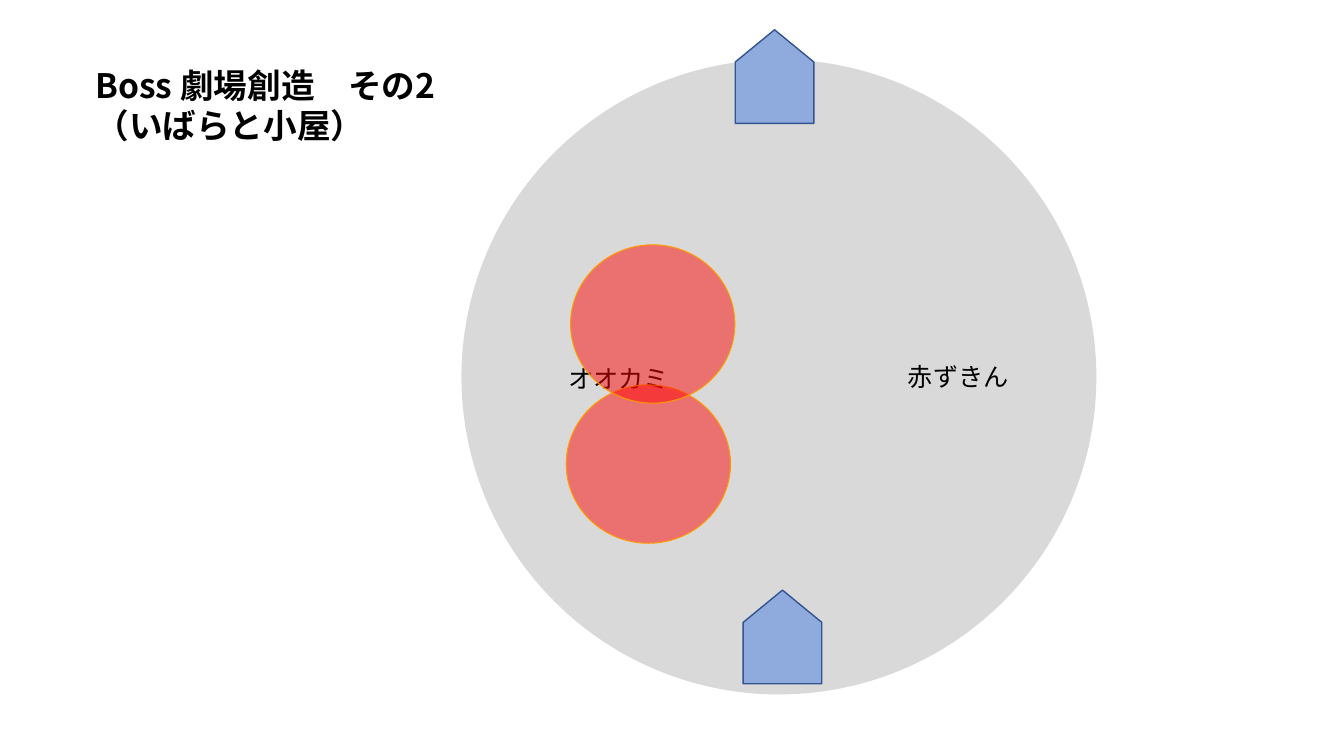
import lxml.etree
import pptx
import pptx.dml.color
import pptx.enum.shapes
import pptx.enum.text
import pptx.oxml.ns
import pptx.util

Cm = pptx.util.Cm
Pt = pptx.util.Pt
RGBColor = pptx.dml.color.RGBColor
SHAPE = pptx.enum.shapes.MSO_SHAPE
qn = pptx.oxml.ns.qn

FONT = "Noto Sans CJK SC"
BLACK = RGBColor(0x00, 0x00, 0x00)
GREY = RGBColor(0xD9, 0xD9, 0xD9)
RED = RGBColor(0xFF, 0x00, 0x00)
ORANGE = RGBColor(0xFF, 0x99, 0x00)
BLUE = RGBColor(0x8F, 0xAA, 0xDC)
NAVY = RGBColor(0x32, 0x54, 0x91)


def add_form(slide, kind, left, top, width, height, fill):
    """Add a filled preset shape without outline or shadow."""
    form = slide.shapes.add_shape(kind, Cm(left), Cm(top), Cm(width), Cm(height))
    form.shadow.inherit = False
    form.fill.solid()
    form.fill.fore_color.rgb = fill
    form.line.fill.background()
    return form


def set_line(form, color, width):
    """Give a shape a solid outline."""
    form.line.color.rgb = color
    form.line.width = Pt(width)


def add_thorn(slide, left, top):
    """Add a see-through red circle for a thorn area."""
    thorn = add_form(slide, SHAPE.OVAL, left, top, 4.14, 3.99, RED)
    set_line(thorn, ORANGE, 0.75)
    color = thorn.fill._xPr.find(qn("a:solidFill"))[0]
    lxml.etree.SubElement(color, qn("a:alpha"), val="48000")


def add_hut(slide, left, top):
    """Add a hut with its roof pointing up."""
    hut = add_form(slide, SHAPE.PENTAGON, left, top, 2.36, 1.98, BLUE)
    hut.adjustments[0] = 0.41
    hut.rotation = 270
    set_line(hut, NAVY, 1)


def add_text(slide, text, left, top, width, height, size, bold=False, wrap=False):
    """Add a black text box in the slide font."""
    box = slide.shapes.add_textbox(Cm(left), Cm(top), Cm(width), Cm(height))
    frame = box.text_frame
    frame.text = text
    frame.word_wrap = wrap
    frame.auto_size = pptx.enum.text.MSO_AUTO_SIZE.SHAPE_TO_FIT_TEXT
    font = frame.paragraphs[0].runs[0].font
    font.name = FONT
    font.size = Pt(size)
    font.bold = bold
    font.color.rgb = BLACK
    lxml.etree.SubElement(font._element, qn("a:ea"), typeface=FONT)


def main():
    """Build the arena slide and save it."""
    deck = pptx.Presentation()
    deck.slide_width = Cm(33.87)
    deck.slide_height = Cm(19.05)
    slide = deck.slides.add_slide(deck.slide_layouts[6])
    add_form(slide, SHAPE.OVAL, 11.63, 1.5, 16, 16, GREY)
    add_text(slide, "オオカミ", 14.07, 9.04, 3.07, 1.02, 18)
    add_text(slide, "赤ずきん", 22.63, 8.99, 3.07, 1.02, 18)
    title = "Boss 劇場創造　その2（いばらと小屋）"
    add_text(slide, title, 2.16, 1.5, 9.22, 2.31, 24, bold=True, wrap=True)
    for left, top in ((14.27, 9.7), (14.38, 6.17)):
        add_thorn(slide, left, top)
    for left, top in ((18.34, 0.94), (18.54, 15.06)):
        add_hut(slide, left, top)
    deck.save("out.pptx")


if __name__ == "__main__":
    main()
